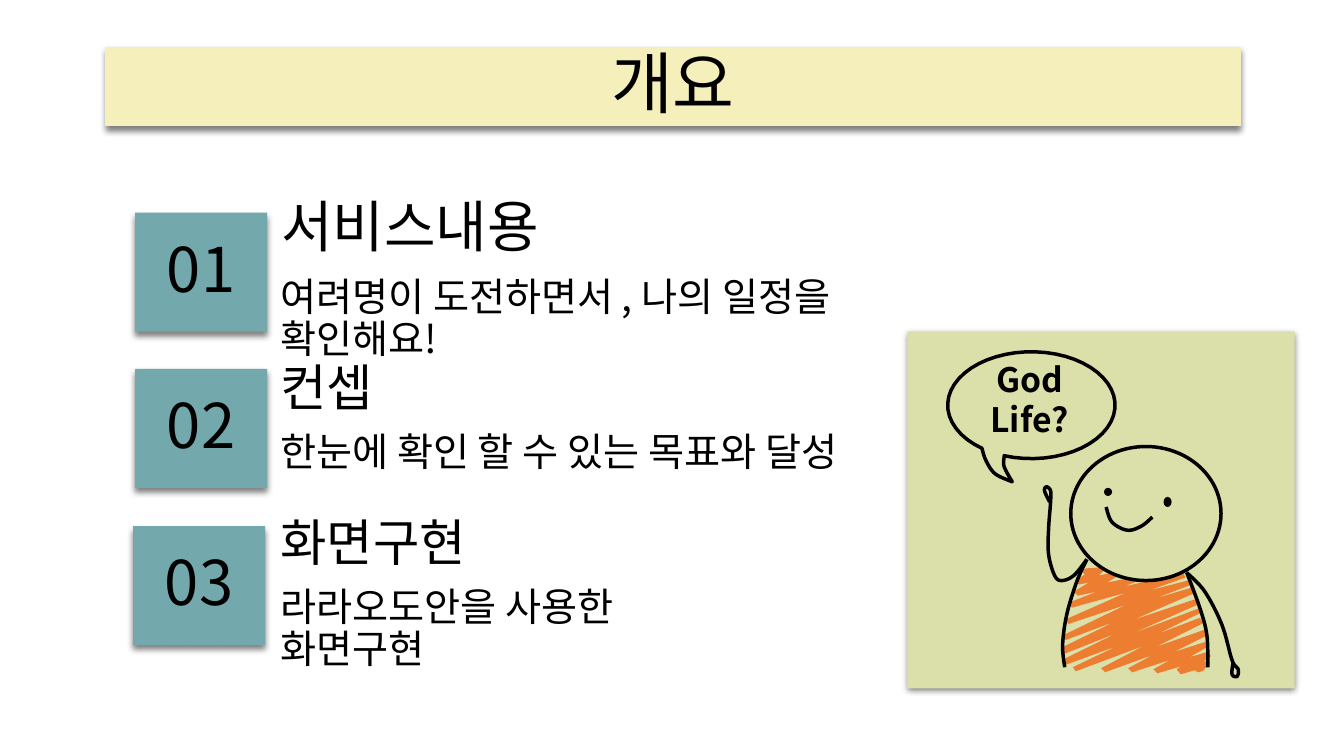
from dataclasses import dataclass
from math import cos, radians, sin

from lxml.etree import SubElement
from pptx import Presentation
from pptx.dml.color import RGBColor
from pptx.enum.shapes import MSO_SHAPE as Kind
from pptx.enum.text import MSO_ANCHOR as Anchor, MSO_AUTO_SIZE as Fit, PP_ALIGN as Align
from pptx.oxml.ns import qn
from pptx.util import Inches, Pt

FONT = "Noto Sans CJK KR"
BLACK = RGBColor(0x00, 0x00, 0x00)
WHITE = RGBColor(0xFF, 0xFF, 0xFF)
CREAM = RGBColor(0xF5, 0xF0, 0xBB)
TEAL = RGBColor(0x73, 0xA9, 0xAD)
GREEN = RGBColor(0xDB, 0xDF, 0xAA)
ORANGE = RGBColor(0xED, 0x7D, 0x31)
PEN = Pt(2.5)

Point = tuple[float, float]
Box = tuple[float, float, float, float]


@dataclass
class Topic:
    tile: Box
    head: str
    head_box: Box
    size: int
    body: str
    body_box: Box


TOPICS = [
    Topic((1.34, 2.11, 1.31, 1.18), "서비스내용", (2.66, 1.7, 6.94, 1.01), 40,
          "여려명이 도전하면서 , 나의 일정을 확인해요!", (2.65, 2.62, 6.64, 0.75)),
    Topic((1.34, 3.66, 1.31, 1.18), "컨셉", (2.65, 3.64, 8.68, 0.63), 36,
          "한눈에 확인 할 수 있는 목표와 달성", (2.65, 4.16, 6.09, 0.75)),
    Topic((1.32, 5.22, 1.31, 1.18), "화면구현", (2.65, 5.18, 4.26, 0.63), 36,
          "라라오도안을 사용한 화면구현", (2.65, 5.7, 4.26, 0.75)),
]

ARM_UP = [(10.41, 4.98), (10.36, 4.87), (10.38, 4.83), (10.42, 4.87), (10.42, 4.98),
          (10.4, 5.25), (10.4, 5.5), (10.46, 5.71), (10.53, 5.76), (10.65, 5.71),
          (10.78, 5.55)]
ARM_DOWN = [(11.77, 5.68), (11.95, 5.87), (12.12, 6.2), (12.22, 6.55), (12.28, 6.64),
            (12.27, 6.71), (12.22, 6.69), (12.23, 6.57)]
LEFT_SIDE = [(10.78, 5.55), (10.68, 5.77), (10.58, 6.1), (10.54, 6.4), (10.56, 6.62)]
RIGHT_SIDE = [(11.77, 5.68), (11.9, 6.03), (11.97, 6.3), (11.98, 6.62)]
SMILE = [(10.97, 5.03), (11.03, 5.18), (11.18, 5.26), (11.32, 5.22), (11.43, 5.13)]
TAIL_IN = [(9.96, 4.53), (9.96, 4.63), (10.04, 4.78)]
TAIL_OUT = [(10.04, 4.78), (9.87, 4.7), (9.78, 4.57), (9.74, 4.45)]
EYES = [(10.95, 4.84, 0.08, 0.08), (11.54, 4.93, 0.08, 0.1)]

SHIRT = [
    (10.91, 5.63), (10.95, 5.66), (10.9, 5.71), (11.04, 5.68), (11.08, 5.72),
    (10.98, 5.78), (11.23, 5.73), (11.27, 5.77), (11.15, 5.82), (11.73, 5.68),
    (11.76, 5.73), (11.39, 5.86), (11.78, 5.76), (11.82, 5.8), (11.45, 5.94),
    (11.82, 5.83), (11.86, 5.88), (11.24, 6.15), (11.87, 5.94), (11.9, 5.99),
    (11.22, 6.29), (11.88, 6.04), (11.91, 6.08), (11.48, 6.29), (11.9, 6.13),
    (11.94, 6.18), (11.46, 6.42), (11.94, 6.25), (11.98, 6.3), (11.64, 6.47),
    (11.95, 6.37), (11.99, 6.41), (11.8, 6.52), (11.97, 6.47), (12.01, 6.51),
    (11.94, 6.56), (12, 6.57), (11.93, 6.66), (11.88, 6.67), (11.85, 6.65),
    (11.71, 6.69), (11.67, 6.64), (11.72, 6.61), (11.48, 6.68), (11.44, 6.64),
    (11.6, 6.55), (11.23, 6.67), (11.19, 6.63), (11.43, 6.5), (10.96, 6.67),
    (10.92, 6.63), (11.34, 6.41), (10.67, 6.66), (10.64, 6.62), (11.08, 6.41),
    (10.56, 6.6), (10.55, 6.54), (11.08, 6.28), (10.55, 6.49), (10.54, 6.42),
    (11.05, 6.17), (10.57, 6.35), (10.53, 6.31), (11.17, 6), (10.6, 6.19),
    (10.56, 6.15), (11.17, 5.88), (10.63, 6.03), (10.6, 5.98), (10.88, 5.87),
    (10.69, 5.91), (10.65, 5.87), (10.8, 5.78), (10.7, 5.8), (10.67, 5.76),
    (10.76, 5.7), (10.73, 5.67), (10.77, 5.64),
]


def paint(shape, fill: RGBColor | None, line: RGBColor | None = None, width: int = PEN) -> None:
    if fill is None:
        shape.fill.background()
    else:
        shape.fill.solid()
        shape.fill.fore_color.rgb = fill
    if line is None:
        shape.line.fill.background()
    else:
        shape.line.color.rgb = line
        shape.line.width = width


def shade(shape, dist: float) -> None:
    """Give the shape a soft black shadow straight below it."""
    shape.shadow.inherit = False
    glow = shape._element.spPr.find(qn("a:effectLst"))
    outer = SubElement(glow, qn("a:outerShdw"), blurRad=str(Pt(4.5)), dist=str(Pt(dist)),
                       dir="5400000", algn="t", rotWithShape="0")
    tint = SubElement(outer, qn("a:srgbClr"), val=str(BLACK))
    SubElement(tint, qn("a:alpha"), val="50000")


def write(shape, text: str, size: float, anchor: Anchor, align: Align,
          inset: float = 0.13, space: float = 0.9, bold: bool = False) -> None:
    frame = shape.text_frame
    frame.text = text
    frame.word_wrap = True
    frame.auto_size = Fit.NONE
    frame.vertical_anchor = anchor
    frame.margin_left = frame.margin_right = Inches(inset)
    frame.margin_top = frame.margin_bottom = Inches(min(inset, 0.13))
    para = frame.paragraphs[0]
    para.alignment = align
    para.line_spacing = space
    font = para.runs[0].font
    font.size, font.bold, font.name = Pt(size), bold, FONT
    font.color.rgb = BLACK
    SubElement(font._element, qn("a:ea"), typeface=FONT)


def add_form(slide, kind: Kind, box: Box, fill: RGBColor | None, line: RGBColor | None = None):
    shape = slide.shapes.add_shape(kind, *map(Inches, box))
    shape.shadow.inherit = False
    paint(shape, fill, line)
    return shape


def add_label(slide, box: Box, text: str, size: float, anchor: Anchor) -> None:
    label = slide.shapes.add_textbox(*map(Inches, box))
    write(label, text, size, anchor, Align.LEFT)


def smooth(knots: list[Point], steps: int = 8) -> list[Point]:
    """Run a Catmull-Rom curve through the knots."""
    ends = [knots[0], *knots, knots[-1]]
    curve = [knots[0]]
    for a, b, c, d in zip(ends, ends[1:], ends[2:], ends[3:]):
        for step in range(1, steps + 1):
            t = step / steps
            x, y = (0.5 * (2 * q + (r - p) * t + (2 * p - 5 * q + 4 * r - s) * t**2
                           + (3 * q - p - 3 * r + s) * t**3)
                    for p, q, r, s in zip(a, b, c, d))
            curve.append((x, y))
    return curve


def trace(slide, points: list[Point], fill: RGBColor | None, line: RGBColor | None,
          close: bool = False) -> None:
    start, *rest = [(Inches(x), Inches(y)) for x, y in points]
    path = slide.shapes.build_freeform(*start)
    path.add_line_segments(rest, close=close)
    shape = path.convert_to_shape()
    shape.shadow.inherit = False
    paint(shape, fill, line)


def draw_topic(slide, number: int, topic: Topic) -> None:
    add_label(slide, topic.body_box, topic.body, 28, Anchor.TOP)
    tile = add_form(slide, Kind.RECTANGLE, topic.tile, TEAL)
    shade(tile, 3)
    write(tile, f"{number:02}", 44, Anchor.MIDDLE, Align.CENTER)
    add_label(slide, topic.head_box, topic.head, topic.size, Anchor.BOTTOM)


def draw_figure(slide) -> None:
    card = add_form(slide, Kind.RECTANGLE, (9, 3.29, 3.84, 3.54), GREEN)
    shade(card, 1.5)
    trace(slide, SHIRT, ORANGE, None, close=True)
    add_form(slide, Kind.OVAL, (10.62, 4.43, 1.49, 1.33), None, BLACK)
    for stroke in (ARM_UP, LEFT_SIDE, RIGHT_SIDE, ARM_DOWN, SMILE):
        trace(slide, smooth(stroke), None, BLACK)
    for eye in EYES:
        add_form(slide, Kind.OVAL, eye, BLACK)
    rim = [(10.23 + 0.83 * cos(radians(a)), 4.02 + 0.53 * sin(radians(a)))
           for a in range(126, 470, 7)]
    trace(slide, rim + smooth(TAIL_IN) + smooth(TAIL_OUT), None, BLACK, close=True)
    speech = add_form(slide, Kind.OVAL, (9.47, 3.57, 1.48, 0.78), GREEN)
    write(speech, "God Life?", 24, Anchor.MIDDLE, Align.CENTER, 0.1, 1.0, True)


def main() -> None:
    deck = Presentation()
    deck.slide_width, deck.slide_height = Inches(13.33), Inches(7.5)
    slide = deck.slides.add_slide(deck.slide_layouts[5])
    slide.background.fill.solid()
    slide.background.fill.fore_color.rgb = WHITE
    title = slide.shapes.title
    title.left, title.top, title.width, title.height = map(Inches, (1.05, 0.47, 11.25, 0.78))
    paint(title, CREAM, CREAM, Pt(0.75))
    shade(title, 3)
    write(title, "개요", 48, Anchor.MIDDLE, Align.CENTER)
    for number, topic in enumerate(TOPICS, 1):
        draw_topic(slide, number, topic)
    draw_figure(slide)
    deck.save("out.pptx")


if __name__ == "__main__":
    main()
